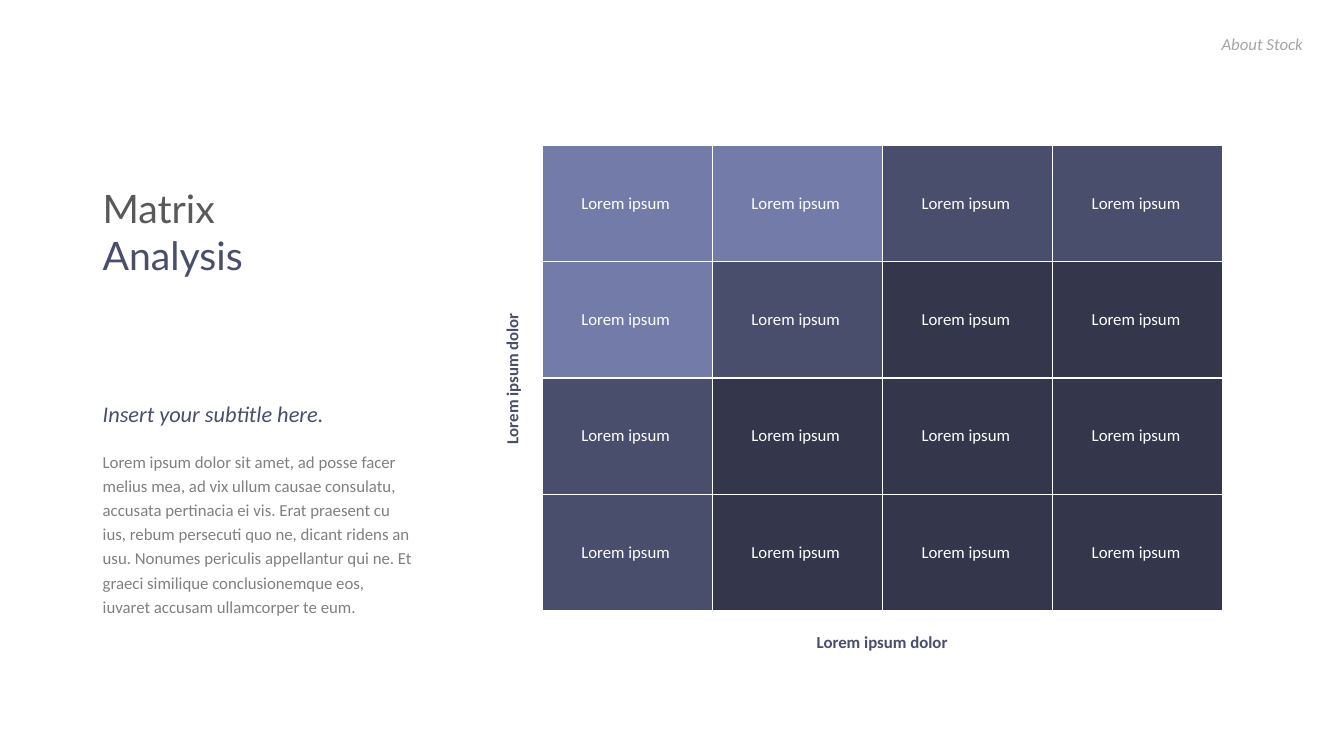
from lxml import etree
from pptx import Presentation
from pptx.dml.color import RGBColor
from pptx.enum.text import MSO_ANCHOR, PP_ALIGN
from pptx.oxml import ns
from pptx.util import Inches, Pt


def style(run, size, color, font="Calibri", bold=False, italic=False):
    run.font.size = Pt(size)
    run.font.name = font
    run.font.bold = bold
    run.font.italic = italic
    run.font.color.rgb = RGBColor.from_string(color)


def add_text(left, top, width, height, words, align=PP_ALIGN.LEFT, spacing=1.2):
    box = slide.shapes.add_textbox(Inches(left), Inches(top), Inches(width), Inches(height))
    box.text_frame.word_wrap = True
    paragraph = box.text_frame.paragraphs[0]
    paragraph.text = words
    paragraph.alignment = align
    paragraph.line_spacing = spacing
    return box, paragraph.runs


WHITE, INDIGO = "FFFFFF", "494E6C"
TIER_COLORS = {"L": "737BA9", "M": INDIGO, "D": "34374C"}
TIERS = ["LLMM", "LMDD", "MDDD", "MDDD"]

deck = Presentation()
deck.slide_width, deck.slide_height = Inches(13.33), Inches(7.5)
slide = deck.slides.add_slide(deck.slide_layouts[6])

title, (matrix_word, analysis_word) = add_text(0.92, 1.78, 5.75, 1.97, "Matrix\vAnalysis", spacing=1.0)
style(matrix_word, 28, "595959", "Lato")
style(analysis_word, 28, INDIGO, "Lato")

matrix = slide.shapes.add_table(4, 4, Inches(5.38), Inches(1.44), Inches(6.75), Inches(4.62)).table
matrix.first_row = matrix.horz_banding = False
for column in matrix.columns:
    column.width = Inches(6.75 / 4)
for row, tiers in zip(matrix.rows, TIERS):
    row.height = Inches(4.62 / 4)
    for cell, tier in zip(row.cells, tiers):
        cell_properties = cell._tc.get_or_add_tcPr()
        for side in ("lnL", "lnR", "lnT", "lnB"):
            border = etree.SubElement(cell_properties, ns.qn("a:" + side), w=str(Pt(1)))
            paint = etree.SubElement(border, ns.qn("a:solidFill"))
            etree.SubElement(paint, ns.qn("a:srgbClr"), val=WHITE)
        cell.fill.solid()
        cell.fill.fore_color.rgb = RGBColor.from_string(TIER_COLORS[tier])
        cell.vertical_anchor = MSO_ANCHOR.MIDDLE
        label = cell.text_frame.paragraphs[0]
        label.text = "Lorem ipsum "
        label.alignment = PP_ALIGN.CENTER
        style(label.runs[0], 12, WHITE)

for left, top, rotation in [(6.66, 6.18, 0), (2.96, 3.59, 270)]:
    axis, runs = add_text(left, top, 4.18, 0.33, "Lorem ipsum dolor", PP_ALIGN.CENTER)
    axis.rotation = rotation
    style(runs[0], 12, INDIGO, bold=True)

body, runs = add_text(
    0.92, 4.39, 3.29, 1.78,
    "Lorem ipsum dolor sit amet, ad posse facer melius mea, ad vix ullum causae "
    "consulatu, accusata pertinacia ei vis. Erat praesent cu ius, rebum persecuti "
    "quo ne, dicant ridens an usu. Nonumes periculis appellantur qui ne. Et graeci "
    "similique conclusionemque eos, iuvaret accusam ullamcorper te eum.",
)
style(runs[0], 12, "808080")

subtitle, runs = add_text(0.92, 3.87, 4.18, 0.4, "Insert your subtitle here.")
style(runs[0], 16, INDIGO, italic=True)

section, runs = add_text(8.84, 0.25, 4.18, 0.33, "About Stock", PP_ALIGN.RIGHT)
style(runs[0], 12, "A6A6A6", italic=True)

deck.save("out.pptx")
